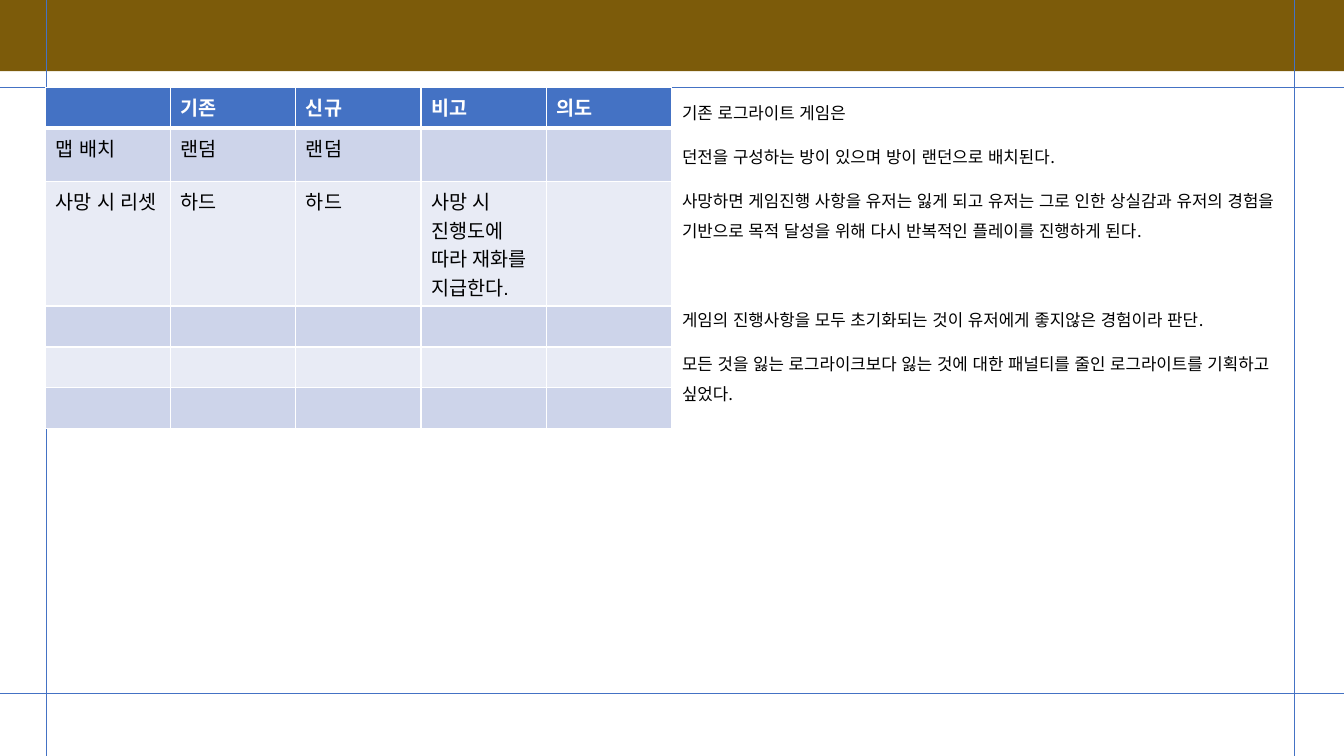
from lxml.etree import SubElement
from pptx import Presentation
from pptx.dml.color import RGBColor
from pptx.enum.lang import MSO_LANGUAGE_ID as Language
from pptx.enum.shapes import MSO_CONNECTOR as Connector, MSO_SHAPE as Shape
from pptx.enum.text import MSO_ANCHOR as Anchor, MSO_AUTO_SIZE as AutoSize
from pptx.oxml.ns import qn
from pptx.util import Pt

BROWN = RGBColor(0x7C, 0x5B, 0x0A)
BLUE = RGBColor(0x44, 0x72, 0xC4)
BAND_DARK = RGBColor(0xCD, 0xD4, 0xEA)
BAND_LIGHT = RGBColor(0xE8, 0xEB, 0xF5)
WHITE = RGBColor(0xFF, 0xFF, 0xFF)
BLACK = RGBColor(0x00, 0x00, 0x00)

WIDTH, HEIGHT = 960, 540
GUIDES_X = (33.2, 924.5)
GUIDES_Y = (62.2, 495.4)
KOREAN_FONT = "Noto Sans CJK KR"

COLUMN_WIDTH = 89.4
ROW_HEIGHTS = (29.2, 38.2, 29.2, 29.2, 29.2, 29.2)
COMPARISON = (
    ("", "기존", "신규", "비고", "의도"),
    ("맵 배치", "랜덤", "랜덤", "", ""),
    ("사망 시 리셋", "하드", "하드", "사망 시 진행도에 따라 재화를 지급한다.", ""),
    ("",) * 5,
    ("",) * 5,
    ("",) * 5,
)

PARAGRAPH_GAP, SECTION_GAP = 10, 41.4
RATIONALE = (
    ("기존 로그라이트 게임은", PARAGRAPH_GAP),
    ("던전을 구성하는 방이 있으며 방이 랜던으로 배치된다.", PARAGRAPH_GAP),
    ("사망하면 게임진행 사항을 유저는 잃게 되고 유저는 그로 인한 상실감과 유저의 경험을 "
     "기반으로 목적 달성을 위해 다시 반복적인 플레이를 진행하게 된다.", PARAGRAPH_GAP),
    ("게임의 진행사항을 모두 초기화되는 것이 유저에게 좋지않은 경험이라 판단.", SECTION_GAP),
    ("모든 것을 잃는 로그라이크보다 잃는 것에 대한 패널티를 줄인 로그라이트를 기획하고 "
     "싶었다.", PARAGRAPH_GAP),
)


def assign(target, values):
    for name, value in values.items():
        setattr(target, name, value)


def box(left, top, width, height):
    return {"left": Pt(left), "top": Pt(top), "width": Pt(width), "height": Pt(height)}


class SlideBuilder:
    """Holds the text style and the slide that is being built."""

    def __init__(self, slide):
        self.slide = slide
        self.shapes = slide.shapes
        self.font = {"language_id": Language.KOREAN, "bold": False}

    def add_text(self, paragraph, text, color, **font):
        run = paragraph.add_run()
        run.text = text
        assign(run.font, {**self.font, **font})
        run.font.color.rgb = color
        SubElement(run.font._element, qn("a:ea"), typeface=KOREAN_FONT)

    def band(self, left, top, width, height, color):
        band = self.shapes.add_shape(Shape.RECTANGLE, **box(left, top, width, height))
        band.shadow.inherit = False
        band.fill.solid()
        band.fill.fore_color.rgb = color
        band.line.fill.background()

    def guide(self, x1, y1, x2, y2):
        guide = self.shapes.add_connector(Connector.STRAIGHT, Pt(x1), Pt(y1), Pt(x2), Pt(y2))
        guide.line.width = Pt(0.5)
        guide.line.color.rgb = BLUE
        SubElement(guide._element.spPr, qn("a:effectLst"))

    def body(self, left, top, width, height, paragraphs):
        body = self.slide.placeholders[1]
        assign(body, box(left, top, width, height))
        self.shapes._spTree.append(body._element)
        frame = body.text_frame
        assign(frame, {"word_wrap": True, "auto_size": AutoSize.NONE,
                       "vertical_anchor": Anchor.TOP})
        for index, (text, gap) in enumerate(paragraphs):
            paragraph = frame.add_paragraph() if index else frame.paragraphs[0]
            assign(paragraph, {"line_spacing": 1.5, "space_before": Pt(gap),
                               "space_after": Pt(0)})
            properties = paragraph._p.get_or_add_pPr()
            properties.set("marL", "0")
            properties.set("indent", "0")
            SubElement(properties, qn("a:buNone"))
            self.add_text(paragraph, text, BLACK, name=KOREAN_FONT, size=Pt(12))

    def borders(self, cell, top, bottom):
        """Draw white borders; they must be added before the cell's fill."""
        properties = cell._tc.get_or_add_tcPr()
        for side, width in (("L", 1), ("R", 1), ("T", top), ("B", bottom)):
            line = SubElement(properties, qn(f"a:ln{side}"), w=str(Pt(width)))
            fill = SubElement(line, qn("a:solidFill"))
            SubElement(fill, qn("a:srgbClr"), val=str(WHITE))

    def table(self, left, top, column_width, row_heights, rows):
        columns = len(rows[0])
        table = self.shapes.add_table(
            len(rows), columns,
            **box(left, top, column_width * columns, sum(row_heights))).table
        for column in table.columns:
            column.width = Pt(column_width)
        for index, (height, texts) in enumerate(zip(row_heights, rows)):
            header = index == 0
            table.rows[index].height = Pt(height)
            background = BLUE if header else BAND_DARK if index % 2 else BAND_LIGHT
            for cell, text in zip(table.rows[index].cells, texts):
                self.borders(cell, top=3 if index == 1 else 1, bottom=3 if header else 1)
                cell.fill.solid()
                cell.fill.fore_color.rgb = background
                paragraph = cell.text_frame.paragraphs[0]
                if text:
                    self.add_text(paragraph, text, WHITE if header else BLACK,
                                  name="Arial", size=Pt(14), bold=header)
                else:
                    SubElement(paragraph._p, qn("a:endParaRPr"), sz="1400")


def main():
    deck = Presentation()
    assign(deck, {"slide_width": Pt(WIDTH), "slide_height": Pt(HEIGHT)})
    slide = deck.slides.add_slide(deck.slide_layouts[1])
    title = slide.shapes.title._element
    title.getparent().remove(title)

    builder = SlideBuilder(slide)
    builder.band(0, 0, WIDTH, 50.9, BROWN)
    for x in GUIDES_X:
        builder.guide(x, 0, x, HEIGHT)
    for y in GUIDES_Y:
        builder.guide(0, y, WIDTH, y)
    builder.body(480, 62.4, 443, 433.2, RATIONALE)
    builder.table(32.6, 62.4, COLUMN_WIDTH, ROW_HEIGHTS, COMPARISON)
    deck.save("out.pptx")


if __name__ == "__main__":
    main()
